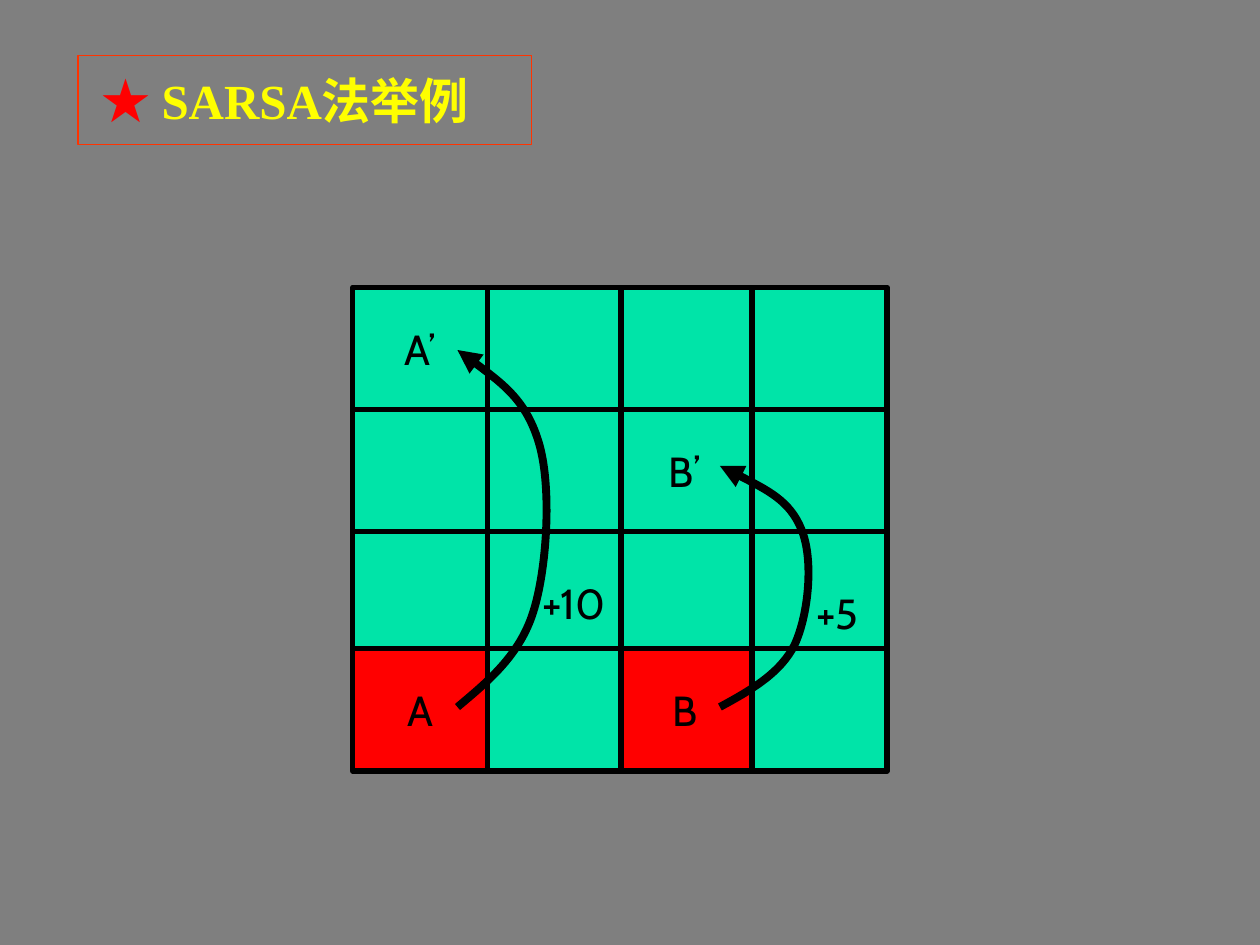
from pptx import Presentation
from pptx.dml.color import RGBColor as Rgb
from pptx.enum.shapes import MSO_SHAPE as Kind
from pptx.enum.text import MSO_ANCHOR as Anchor, MSO_AUTO_SIZE as Fit, PP_ALIGN as Align
from pptx.oxml.ns import qn
from pptx.util import Pt
from lxml.etree import SubElement as Sub

HUES = {"back": "7F7F7F", "cell": "00E4A8", "hot": "FF0000", "ink": "000000",
        "edge": "FF3300", "title": "FFFF00"}
BODY, HAN, ROMAN = "Cabin", "Noto Sans CJK SC", "Times New Roman"


def hue(name):
    return Rgb.from_string(HUES[name])


class Deck:
    def __init__(self, wide, high):
        self.prs = Presentation()
        self.prs.slide_width, self.prs.slide_height = Pt(wide), Pt(high)
        self.slide = self.prs.slides.add_slide(self.prs.slide_layouts[6])
        fill = self.slide.background.fill
        fill.solid()
        fill.fore_color.rgb = hue("back")
        self.shapes = self.slide.shapes

    def words(self, shape, runs, align=Align.LEFT, **form):
        """Runs are (text, font, color, format) tuples."""
        frame = shape.text_frame
        for key, val in form.items():
            setattr(frame, key, val)
        para = frame.paragraphs[0]
        para.alignment = align
        for text, face, color, look in runs:
            run = para.add_run()
            run.text = text
            for key, val in {"name": face, **look}.items():
                setattr(run.font, key, val)
            run.font.color.rgb = hue(color)
            if face == HAN:
                Sub(run.font._element, qn("a:ea"), typeface=face)

    def box(self, x, y, w, h, fill, line, width):
        shape = self.shapes.add_shape(Kind.RECTANGLE, Pt(x), Pt(y), Pt(w), Pt(h))
        shape.shadow.inherit = False
        if fill:
            shape.fill.solid()
            shape.fill.fore_color.rgb = hue(fill)
        else:
            shape.fill.background()
        shape.line.color.rgb = hue(line)
        shape.line.width = Pt(width)
        return shape

    def label(self, x, y, w, h, text):
        shape = self.shapes.add_textbox(Pt(x), Pt(y), Pt(w), Pt(h))
        self.words(shape, [(text, BODY, "ink", {"size": Pt(24)})],
                   word_wrap=False, auto_size=Fit.SHAPE_TO_FIT_TEXT)

    def curve(self, start, *pts):
        """Draw a Bezier arrow; each three points make one segment."""
        pen = self.shapes.build_freeform(Pt(start[0]), Pt(start[1]))
        pen.add_line_segments([(Pt(x), Pt(y)) for x, y in pts], close=False)
        shape = pen.convert_to_shape()
        shape.shadow.inherit = False
        shape.fill.background()
        shape.line.color.rgb = hue("ink")
        shape.line.width = Pt(4.5)
        Sub(shape.line._get_or_add_ln(), qn("a:tailEnd"), type="triangle")
        # Turn each three line steps into one cubic step
        steps = list(shape._element.iter(qn("a:lnTo")))
        for i in range(0, len(steps), 3):
            cubic = Sub(steps[i].getparent(), qn("a:cubicBezTo"))
            for step in steps[i:i + 3]:
                cubic.append(step[0])
                step.getparent().remove(step)


def main():
    deck = Deck(720, 540)

    # Grid: each cell overlaps the one to its right and below
    cols, rows = (201.6, 278, 352.8, 430), (164.2, 234, 301, 370.8)
    names = {(0, 0): "A’", (1, 2): "B’", (3, 0): "A", (3, 2): "B"}
    for r in reversed(range(4)):
        for c in reversed(range(4)):
            name = names.get((r, c))
            fill = "hot" if name in ("A", "B") else "cell"
            cell = deck.box(cols[c], rows[r], 77, 69.8, fill, "ink", 3)
            if name:
                deck.words(cell, [(name, BODY, "ink", {"size": Pt(24)})], Align.CENTER,
                           word_wrap=False, vertical_anchor=Anchor.MIDDLE)

    # Jumps with their rewards
    deck.curve((261.4, 404), (278.6, 389.5), (296.6, 375), (304.6, 350),
               (312.5, 325.5), (315.4, 279.5), (308.2, 254),
               (301, 229), (281.5, 214.5), (261.4, 200))
    deck.curve((411.4, 404), (429, 394.5), (446.4, 384.5), (454.3, 368),
               (462.2, 350.5), (465.1, 319.5), (458, 302.5),
               (451.4, 286), (431.3, 276), (411.4, 266.2))
    deck.label(303, 326.2, 58.3, 36, "+10")
    deck.label(459.4, 332, 45.4, 36, "+5")

    # Title
    head = deck.box(44.6, 31.7, 259.2, 51.1, None, "edge", 0.75)
    bold = {"size": Pt(28), "bold": True}
    deck.words(head, [(" ★ ", HAN, "hot", bold), ("SARSA", ROMAN, "title", bold),
                      ("法举例", HAN, "title", bold)],
               word_wrap=True, vertical_anchor=Anchor.MIDDLE)

    deck.prs.save("out.pptx")


if __name__ == "__main__":
    main()
